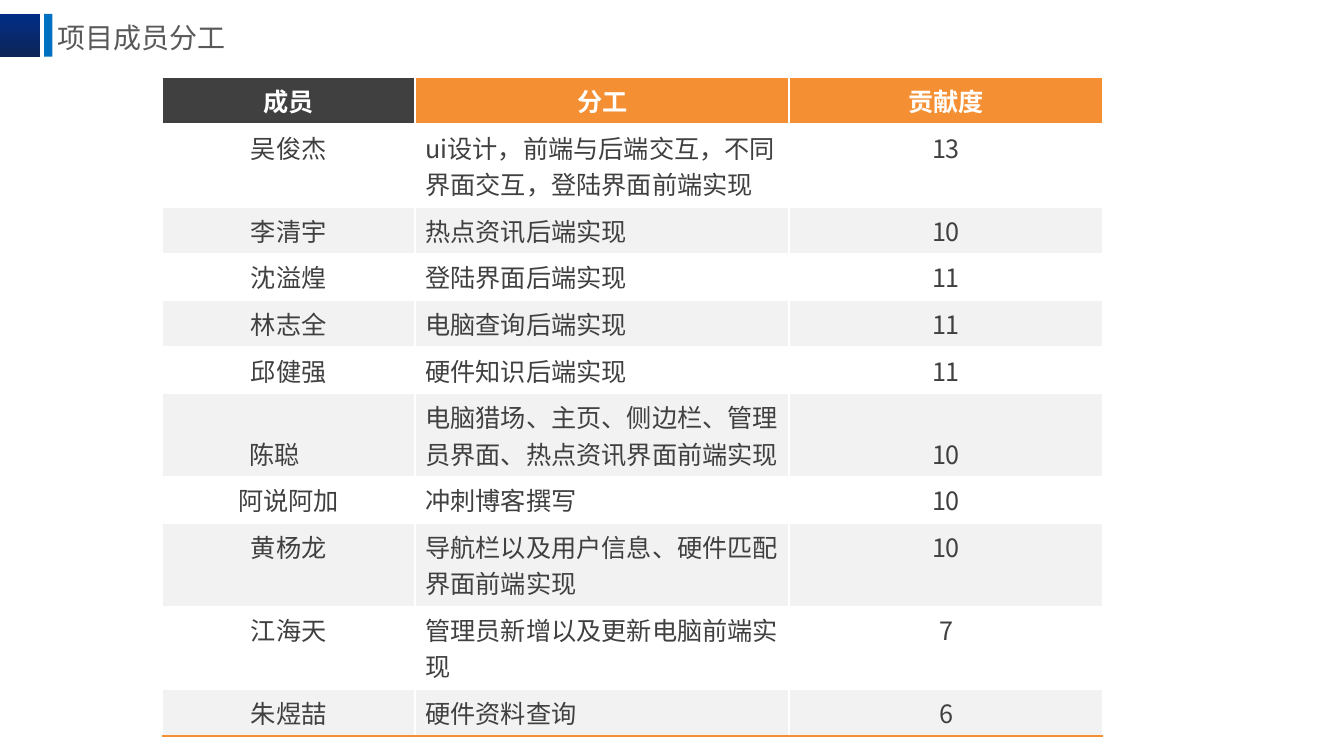
from dataclasses import dataclass

from lxml.etree import SubElement
from pptx import Presentation
from pptx.dml.color import RGBColor as Rgb
from pptx.enum.shapes import MSO_SHAPE as Shape
from pptx.enum.text import MSO_ANCHOR as Anchor, PP_ALIGN as Align
from pptx.oxml.ns import qn
from pptx.util import Pt


@dataclass(frozen=True)
class Theme:
    white: str = "FFFFFF"
    band: str = "F2F2F2"
    dark: str = "404040"
    orange: str = "F58F33"
    blue: str = "0070C0"
    navy_top: str = "012D86"
    navy_bottom: str = "0E2557"
    title_color: str = "595959"
    title_size: int = 20
    table_size: int = 18
    font: str = "Noto Sans CJK SC"
    header_font: str = "Calibri"


HEADERS = ["成员", "分工", "贡献度"]
MEMBERS = [
    ("吴俊杰", "ui设计，前端与后端交互，不同界面交互，登陆界面前端实现", 13),
    ("李清宇", "热点资讯后端实现", 10),
    ("沈溢煌", "登陆界面后端实现", 11),
    ("林志全", "电脑查询后端实现", 11),
    ("邱健强", "硬件知识后端实现", 11),
    ("陈聪", "电脑猎场、主页、侧边栏、管理员界面、热点资讯界面前端实现", 10),
    ("阿说阿加", "冲刺博客撰写", 10),
    ("黄杨龙", "导航栏以及用户信息、硬件匹配界面前端实现", 10),
    ("江海天", "管理员新增以及更新电脑前端实现", 7),
    ("朱煜喆", "硬件资料查询", 6),
]
LOW_MEMBER = "陈聪"  # set on the second line of its row
COLUMN_WIDTHS = [180.7, 267.2, 223.9]
ONE_LINE, TWO_LINES = 33.3, 59.4
CHARS_PER_LINE = 14


def write(frame, text, *, size, color, font, bold=False, align=Align.LEFT, anchor=Anchor.TOP):
    """Fill a text frame with one formatted paragraph."""
    frame.word_wrap = True
    frame.vertical_anchor = anchor
    paragraph = frame.paragraphs[0]
    paragraph.alignment = align
    paragraph.space_before = Pt(0)
    run = paragraph.add_run()
    run.text = text
    run.font.size = Pt(size)
    run.font.bold = bold
    run.font.color.rgb = Rgb.from_string(color)
    run.font.name = font
    SubElement(run._r.get_or_add_rPr(), qn("a:ea"), typeface=Theme.font)


class SlideBuilder:
    def __init__(self, slide, theme):
        self.slide, self.theme = slide, theme

    def title(self, text, left, top, width, height):
        title = self.slide.shapes.title
        title.left, title.top, title.width, title.height = map(Pt, (left, top, width, height))
        write(title.text_frame, text, size=self.theme.title_size, color=self.theme.title_color,
              font=self.theme.font, anchor=Anchor.MIDDLE)

    def bar(self, left, top, width, height, *colors):
        bar = self.slide.shapes.add_shape(Shape.RECTANGLE, *map(Pt, (left, top, width, height)))
        bar.shadow.inherit = False
        bar.line.fill.background()
        if len(colors) == 1:
            bar.fill.solid()
            bar.fill.fore_color.rgb = Rgb.from_string(colors[0])
            return
        bar.fill.gradient()
        bar.fill.gradient_angle = 270
        for stop, color in zip(bar.fill.gradient_stops, colors):
            stop.color.rgb = Rgb.from_string(color)

    def cell(self, cell, text, fill, borders, **text_format):
        properties = cell._tc.get_or_add_tcPr()
        for side, color in borders.items():
            line = SubElement(properties, qn(f"a:ln{side}"), w=str(Pt(1.5)))
            SubElement(SubElement(line, qn("a:solidFill")), qn("a:srgbClr"), val=color)
        cell.fill.solid()
        cell.fill.fore_color.rgb = Rgb.from_string(fill)
        anchor = text_format.pop("anchor", Anchor.TOP)
        write(cell.text_frame, text, size=self.theme.table_size, **text_format)
        cell.vertical_anchor = anchor

    def table(self, left, top):
        theme = self.theme
        heights = [ONE_LINE] + [TWO_LINES if len(duty) > CHARS_PER_LINE else ONE_LINE
                                for _, duty, _ in MEMBERS]
        table = self.slide.shapes.add_table(
            len(heights), len(HEADERS), Pt(left), Pt(top),
            Pt(sum(COLUMN_WIDTHS)), Pt(sum(heights))).table
        table.horz_banding = False
        for column, width in zip(table.columns, COLUMN_WIDTHS):
            column.width = Pt(width)
        for row, height in zip(table.rows, heights):
            row.height = Pt(height)

        for r, values in enumerate([HEADERS, *MEMBERS]):
            for c, value in enumerate(values):
                # White rules between columns, orange rule under the last row
                borders = {}
                if c > 0:
                    borders["L"] = theme.white
                if c < len(HEADERS) - 1:
                    borders["R"] = theme.white
                if r == len(MEMBERS):
                    borders["B"] = theme.orange
                cell = table.cell(r, c)
                if r == 0:
                    self.cell(cell, value, theme.orange if c else theme.dark, borders,
                              color=theme.white, font=theme.header_font, bold=True,
                              align=Align.CENTER)
                    continue
                low = values[0] == LOW_MEMBER and c != 1
                self.cell(cell, str(value), theme.white if r % 2 else theme.band, borders,
                          color=theme.dark, font=theme.font,
                          align=Align.LEFT if c == 1 else Align.CENTER,
                          anchor=Anchor.BOTTOM if low else Anchor.TOP)
                if value == LOW_MEMBER:
                    cell.margin_right = Pt(27)


def main():
    theme = Theme()
    deck = Presentation()
    deck.slide_width, deck.slide_height = Pt(960), Pt(540)
    page = SlideBuilder(deck.slides.add_slide(deck.slide_layouts[5]), theme)

    # Heading with its two bars
    page.bar(0, 10, 28.5, 30.5, theme.navy_top, theme.navy_bottom)
    page.bar(31.5, 10, 6, 30.5, theme.blue)
    page.title("项目成员分工", 33.8, 4.5, 235, 44)

    # Members, duties and contributions
    page.table(115.9, 55.2)

    deck.save("out.pptx")


if __name__ == "__main__":
    main()
